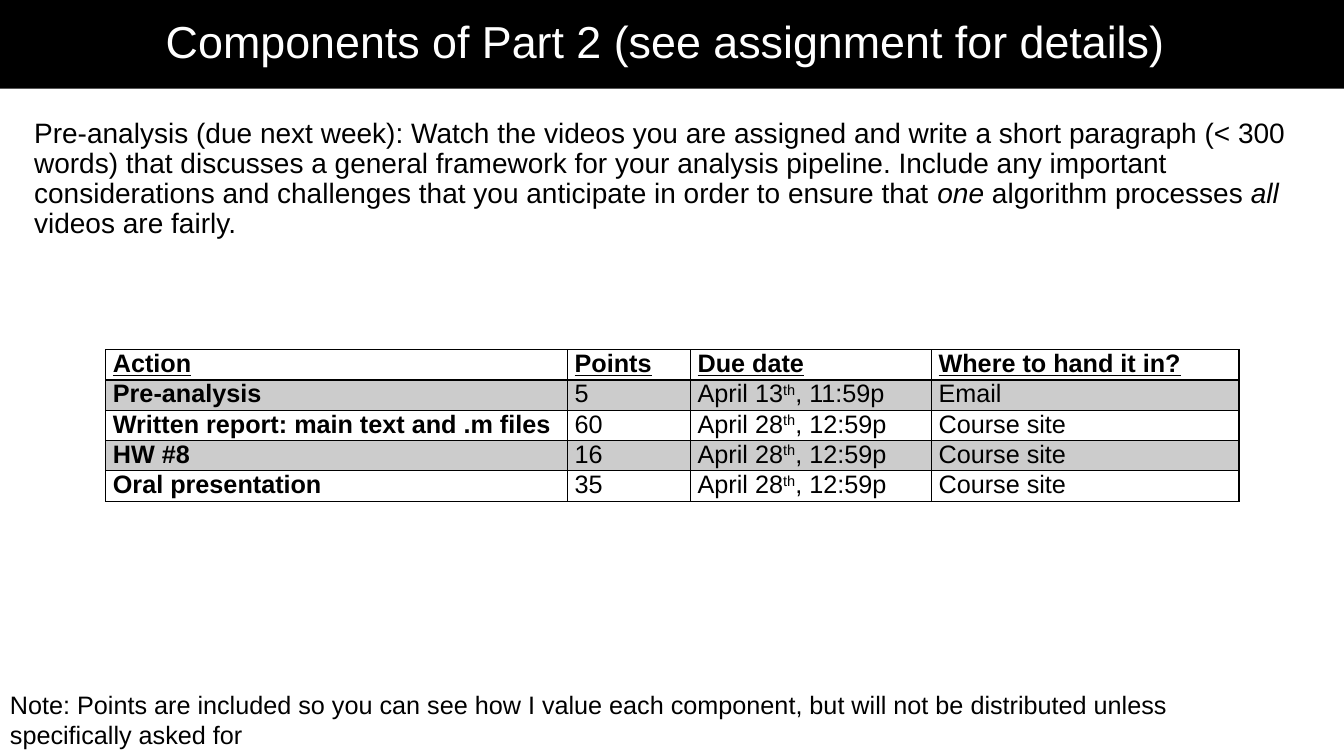
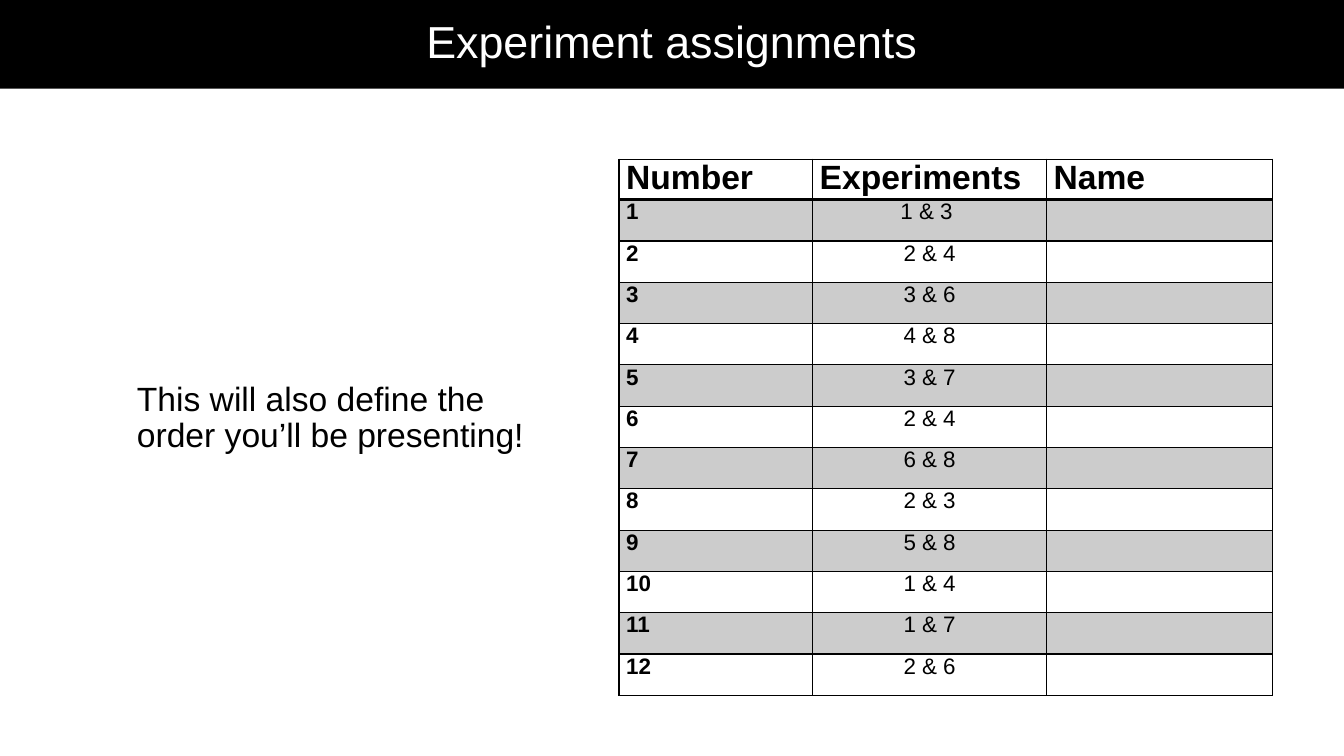
"""Two course slides: graded components and experiment assignments."""
from lxml import etree
from pptx import Presentation
from pptx.dml.color import RGBColor
from pptx.enum.shapes import MSO_SHAPE
from pptx.enum.text import MSO_ANCHOR, PP_ALIGN
from pptx.oxml.ns import qn
from pptx.util import Inches, Pt

RECT = MSO_SHAPE.RECTANGLE
MIDDLE = MSO_ANCHOR.MIDDLE
LEFT, CENTER = PP_ALIGN.LEFT, PP_ALIGN.CENTER
BLACK = RGBColor(0x00, 0x00, 0x00)
WHITE = RGBColor(0xFF, 0xFF, 0xFF)
GRAY = RGBColor(0xCC, 0xCC, 0xCC)
FONT = "Arial"

PLAIN, BOLD, ITALIC, HEADING, SUPER = "", "b", "i", "bu", "s"


def due(day, time):
    return [(f"April {day}", PLAIN), ("th", SUPER), (f", {time}", PLAIN)]


COMPONENTS_TITLE = "Components of Part 2 (see assignment for details) "
PRE_ANALYSIS = [
    ("Pre-analysis (due next week): Watch the videos you are assigned and write a short "
     "paragraph (< 300 words) that discusses a general framework for your analysis pipeline. "
     "Include any important considerations and challenges that you anticipate in order to "
     "ensure that ", PLAIN),
    ("one ", ITALIC),
    ("algorithm processes ", PLAIN),
    ("all", ITALIC),
    (" videos are fairly.", PLAIN),
]
COMPONENTS_HEAD = ["Action", "Points", "Due date", "Where to hand it in?"]
COMPONENTS = [
    ("Pre-analysis", "5", due(13, "11:59p"), "Email"),
    ("Written report: main text and .m files", "60", due(28, "12:59p"), "Course site"),
    ("HW #8", "16", due(28, "12:59p"), "Course site"),
    ("Oral presentation", "35", due(28, "12:59p"), "Course site"),
]
POINTS_NOTE = ("Note: Points are included so you can see how I value each component, "
               "but will not be distributed unless specifically asked for")

EXPERIMENTS_TITLE = "Experiment assignments"
ORDER_NOTE = "This will also define the order you’ll be presenting!"
EXPERIMENTS_HEAD = ["Number", "Experiments", "Name"]
EXPERIMENTS = ["1 & 3 ", "2 & 4", "3 & 6", "4 & 8", "3 & 7", "2 & 4",
               "6 & 8", "2 & 3", "5 & 8", "1 & 4", "1 & 7", "2 & 6"]


def write(p, content, size, style=PLAIN, color=BLACK, align=LEFT, spacing=None):
    p.alignment = align
    if spacing:
        p.line_spacing = spacing
    p.font.size = Pt(size)
    p.font.name = FONT
    for text, run_style in [(content, style)] if isinstance(content, str) else content:
        if not text:
            continue
        r = p.add_run()
        r.text = text
        r.font.name = FONT
        r.font.size = Pt(size)
        r.font.color.rgb = color
        r.font.bold = "b" in run_style
        r.font.italic = "i" in run_style
        r.font.underline = "u" in run_style
        if run_style == SUPER:
            r.font._element.set("baseline", "30000")


def add_titled_slide(prs, title):
    s = prs.slides.add_slide(prs.slide_layouts[6])
    band = s.shapes.add_shape(RECT, 0, 0, prs.slide_width, Inches(0.88))
    band.shadow.inherit = False
    band.fill.solid()
    band.fill.fore_color.rgb = BLACK
    band.line.fill.background()
    tf = band.text_frame
    tf.word_wrap = True
    tf.vertical_anchor = MIDDLE
    write(tf.paragraphs[0], title, 32, color=WHITE, align=CENTER, spacing=0.9)
    return s


def add_text(s, box, content, size, spacing=None):
    tf = s.shapes.add_textbox(*map(Inches, box)).text_frame
    tf.word_wrap = True
    write(tf.paragraphs[0], content, size, spacing=spacing)


def set_borders(cell, widths):
    tcPr = cell._tc.get_or_add_tcPr()
    for side, width in widths.items():
        ln = etree.SubElement(tcPr, qn(f"a:ln{side}"), w=str(Pt(width)))
        fill = etree.SubElement(ln, qn("a:solidFill"))
        etree.SubElement(fill, qn("a:srgbClr"), val=str(BLACK))


def add_grid(s, left, top, col_widths, row_heights, head, rows, sizes, head_style, aligns):
    table = s.shapes.add_table(
        len(rows) + 1, len(head), Inches(left), Inches(top),
        Inches(sum(col_widths)), Inches(row_heights[0] + row_heights[1] * len(rows))).table
    table.first_row = table.horz_banding = False
    for column, width in zip(table.columns, col_widths):
        column.width = Inches(width)
    for i, values in enumerate([head, *rows]):
        table.rows[i].height = Inches(row_heights[min(i, 1)])
        for j, value in enumerate(values):
            cell = table.cell(i, j)
            cell.margin_left = cell.margin_right = Inches(0.07)
            cell.margin_top = cell.margin_bottom = 0
            set_borders(cell, {"L": 1, "R": 1, "T": 2 if i == 1 else 1, "B": 2 if i == 0 else 1})
            if i % 2:
                cell.fill.solid()
                cell.fill.fore_color.rgb = GRAY
            else:
                cell.fill.background()
            style = head_style if i == 0 else BOLD if j == 0 else PLAIN
            p = cell.text_frame.paragraphs[0]
            p.space_after = Pt(0.5)
            write(p, value, sizes[min(i, 1)], style, align=aligns[j] if i else LEFT)


def main():
    prs = Presentation()
    prs.slide_width, prs.slide_height = Inches(13.33), Inches(7.5)

    s = add_titled_slide(prs, COMPONENTS_TITLE)
    add_text(s, (0.24, 1.13, 12.84, 1.41), PRE_ANALYSIS, 20, spacing=0.9)
    add_grid(s, 1.05, 3.47, (4.58, 1.22, 2.39, 3.05), (0.28, 0.28), COMPONENTS_HEAD,
             COMPONENTS, (18, 18), HEADING, [LEFT] * 4)
    add_text(s, (0, 6.79, 12.79, 0.71), POINTS_NOTE, 18)

    s = add_titled_slide(prs, EXPERIMENTS_TITLE)
    add_text(s, (1.26, 3.74, 4.15, 0.88), ORDER_NOTE, 24, spacing=0.9)
    rows = [(str(n), pair, "") for n, pair in enumerate(EXPERIMENTS, 1)]
    add_grid(s, 6.14, 1.58, (1.92, 2.32, 2.24), (0.37, 0.41), EXPERIMENTS_HEAD,
             rows, (24, 16), BOLD, (LEFT, CENTER, LEFT))

    prs.save("out.pptx")


if __name__ == "__main__":
    main()
